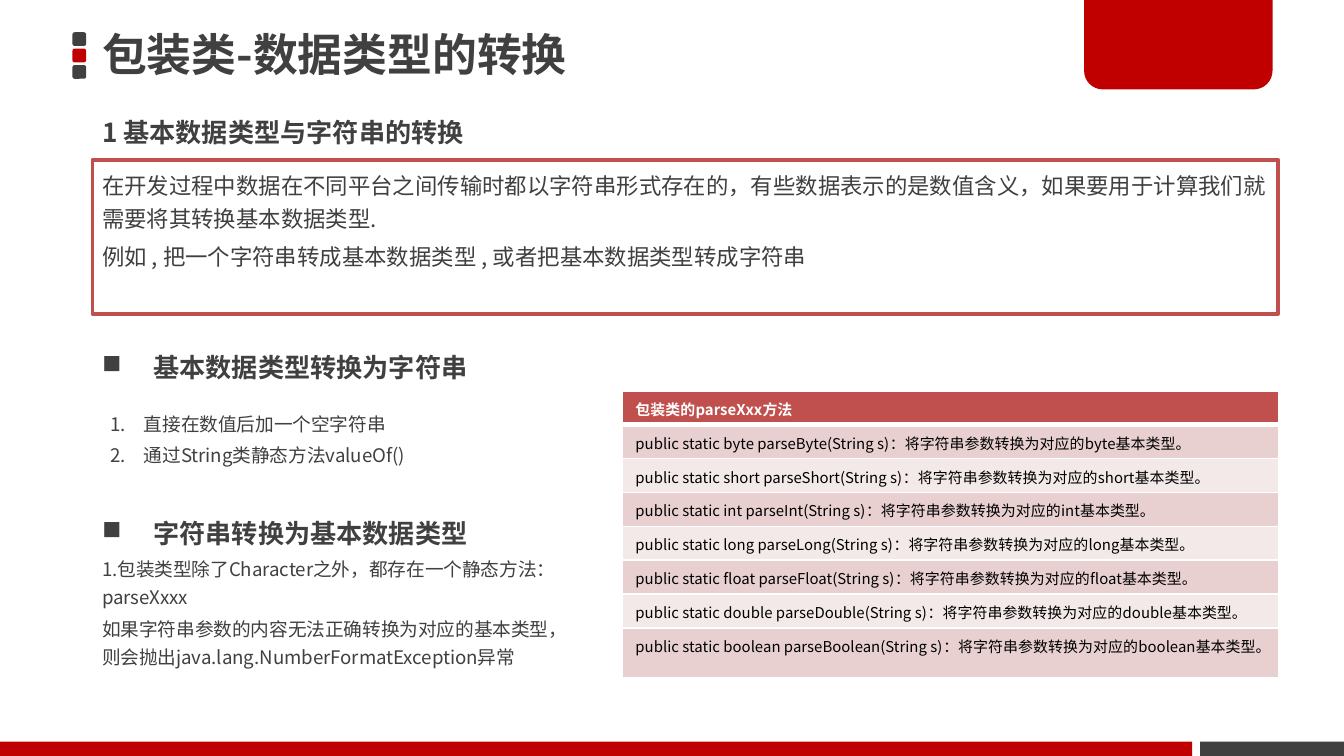
from math import cos, sin, pi

from lxml.etree import SubElement
from pptx import Presentation
from pptx.dml.color import RGBColor
from pptx.enum.shapes import MSO_SHAPE as Preset
from pptx.enum.text import MSO_ANCHOR as Anchor
from pptx.oxml.ns import qn
from pptx.util import Cm, Pt

FONT = "Noto Sans CJK JP"
DARK = RGBColor(0x40, 0x40, 0x40)
RED = RGBColor(0xC0, 0x00, 0x00)
BRICK = RGBColor(0xC0, 0x50, 0x4D)
ROSE = RGBColor(0xE8, 0xD0, 0xD0)
PALE = RGBColor(0xF4, 0xE9, 0xE9)
WHITE = RGBColor(0xFF, 0xFF, 0xFF)
BLACK = RGBColor(0x00, 0x00, 0x00)


def write(frame, *lines, size=10, color=DARK, bold=False, anchor=Anchor.TOP,
          spacing=None, before=0, bullet=None, indent=0):
    """Fill a text frame, one paragraph a line; bullet is a (tag, attributes) pair."""
    frame.word_wrap = True
    frame.vertical_anchor = anchor
    frame.margin_left = frame.margin_right = Cm(0.18)
    frame.margin_top = frame.margin_bottom = Cm(0.1)
    for i, line in enumerate(lines):
        para = frame.add_paragraph() if i else frame.paragraphs[0]
        para.space_before = Pt(before)
        if spacing:
            para.line_spacing = spacing
        if bullet:
            props = para._p.get_or_add_pPr()
            props.set("marL", str(Cm(indent)))
            props.set("indent", str(-Cm(indent)))
            tag, attributes = bullet
            SubElement(props, qn(tag), attributes)
        run = para.add_run()
        run.text = line
        font = run.font
        font.name, font.size, font.bold = FONT, Pt(size), bold
        font.color.rgb = color
        SubElement(run._r.get_or_add_rPr(), qn("a:ea"), typeface=FONT)


def paint(shape, fill, line=None):
    shape.shadow.inherit = False
    shape.fill.solid()
    shape.fill.fore_color.rgb = fill
    if line:
        shape.line.color.rgb = line
        shape.line.width = Pt(2)
    else:
        shape.line.fill.background()


prs = Presentation()
prs.slide_width, prs.slide_height = Cm(25.4), Cm(14.29)
slide = prs.slides.add_slide(prs.slide_layouts[6])
shapes = slide.shapes

# Title marker, footer bars and corner tab
for i, color in enumerate((DARK, RED, DARK)):
    marker = shapes.add_shape(Preset.ROUNDED_RECTANGLE,
                              Cm(1.37), Cm(0.61 + 0.31 * i), Cm(0.26), Cm(0.26))
    paint(marker, color)

for left, width, color in ((22.68, 2.72, DARK), (0, 22.53, RED)):
    bar = shapes.add_shape(Preset.RECTANGLE, Cm(left), Cm(14.02), Cm(width), Cm(0.27))
    paint(bar, color)

tab_left, tab_right, tab_bottom, radius = 20.49, 24.05, 1.69, 0.35
outline = [(tab_right, 0)]
for center, start in ((tab_right - radius, 0), (tab_left + radius, pi / 2)):
    for step in range(9):
        angle = start + step * pi / 16
        outline.append((center + radius * cos(angle),
                        tab_bottom - radius + radius * sin(angle)))
outline.append((tab_left, 0))
points = [(Cm(x), Cm(y)) for x, y in outline]
builder = shapes.build_freeform(*points[0])
builder.add_line_segments(points[1:], close=True)
paint(builder.convert_to_shape(), RED)

# Text blocks
heading = dict(size=14, bold=True, anchor=Anchor.MIDDLE)
square = dict(heading, bullet=("a:buChar", {"char": "■"}), indent=0.97)
body = dict(spacing=1.25, before=2)
numbered = dict(body, bullet=("a:buAutoNum", {"type": "arabicPeriod"}), indent=0.64)

blocks = [
    (1.75, 0.48, 18.26, 1.07, ["包装类-数据类型的转换"], dict(heading, size=24)),
    (1.75, 1.96, 10.36, 1.07, ["1 基本数据类型与字符串的转换"], heading),
    (1.75, 6.35, 9.6, 1.19, ["基本数据类型转换为字符串"], square),
    (1.9, 7.59, 8.2, 1.75,
     ["直接在数值后加一个空字符串", "通过String类静态方法valueOf()"], numbered),
    (1.75, 9.55, 9.2, 1.07, ["字符串转换为基本数据类型"], square),
    (1.75, 10.34, 9.2, 3.18,
     ["1.包装类型除了Character之外，都存在一个静态方法：parseXxxx",
      "如果字符串参数的内容无法正确转换为对应的基本类型，"
      "则会抛出java.lang.NumberFormatException异常"], body),
]
for left, top, width, height, lines, style in blocks:
    box = shapes.add_textbox(Cm(left), Cm(top), Cm(width), Cm(height))
    write(box.text_frame, *lines, **style)

intro = shapes.add_shape(Preset.RECTANGLE, Cm(1.75), Cm(3.02), Cm(22.4), Cm(2.92))
paint(intro, WHITE, BRICK)
write(intro.text_frame,
      "在开发过程中数据在不同平台之间传输时都以字符串形式存在的，有些数据表示的是数值含义，"
      "如果要用于计算我们就需要将其转换基本数据类型.",
      "例如 , 把一个字符串转成基本数据类型 , 或者把基本数据类型转成字符串",
      size=12, **body)
for para in intro.text_frame.paragraphs:
    para.alignment = 1

# Table of parse methods
types = ["byte", "short", "int", "long", "float", "double", "boolean"]
rows = ["包装类的parseXxx方法"] + [
    f"public static {name} parse{name.capitalize()}(String s)：将字符串参数转换为对应的{name}基本类型。"
    for name in types]
methods = shapes.add_table(len(rows), 1, Cm(11.76), Cm(7.39),
                           Cm(12.4), Cm(0.64 * len(rows))).table
for i, text in enumerate(rows):
    cell = methods.cell(i, 0)
    header = i == 0
    write(cell.text_frame, text, size=8, bold=header, color=WHITE if header else BLACK)
    cell.margin_left = cell.margin_right = Cm(0.25)
    cell.margin_top = cell.margin_bottom = Cm(0.13)
    props = cell._tc.get_or_add_tcPr()
    for side in "LRTB":
        thick = (i, side) in ((0, "B"), (1, "T"))
        edge = SubElement(props, qn(f"a:ln{side}"), w=str(Pt(3 if thick else 1)))
        SubElement(SubElement(edge, qn("a:solidFill")), qn("a:srgbClr"), val=str(WHITE))
    cell.fill.solid()
    cell.fill.fore_color.rgb = BRICK if header else (ROSE if i % 2 else PALE)

prs.save("out.pptx")
